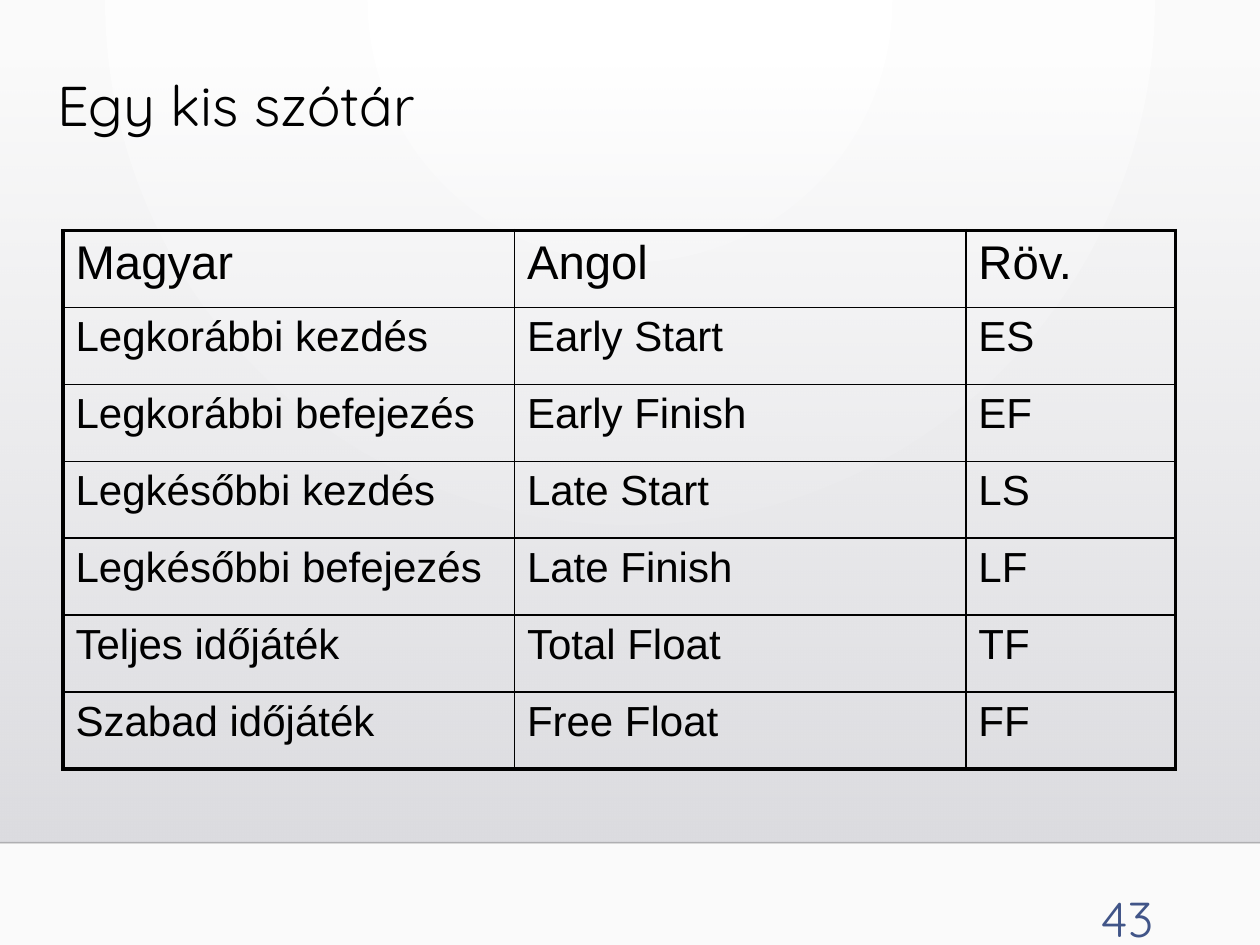
import pptx
import pptx.dml.color
import pptx.enum.shapes
import pptx.enum.text
import pptx.oxml
import pptx.oxml.ns
import pptx.util

Cm, Pt = pptx.util.Cm, pptx.util.Pt
qn = pptx.oxml.ns.qn
NS = pptx.oxml.ns.nsdecls("a")

COLORS = {
    "black": "000000", "rule": "000001", "number": "415588",
    "bg_center": "FFFFFF", "bg_edge": "FAFAFA",
    "panel_top": "DCDCE0", "panel_bottom": "DEDEE2",
}
ROWS = [
    ("Magyar", "Angol", "Röv."),
    ("Legkorábbi kezdés", "Early Start", "ES"),
    ("Legkorábbi befejezés", "Early Finish", "EF"),
    ("Legkésőbbi kezdés", "Late Start", "LS"),
    ("Legkésőbbi befejezés", "Late Finish", "LF"),
    ("Teljes időjáték", "Total Float", "TF"),
    ("Szabad időjáték", "Free Float", "FF"),
]


class Deck:
    heading_font, table_font = "Quicksand", "Arial"
    thin, thick = 1, 2.25

    def __init__(self, width, height):
        self.prs = pptx.Presentation()
        self.prs.slide_width, self.prs.slide_height = Cm(width), Cm(height)
        self.slide = self.prs.slides.add_slide(self.prs.slide_layouts[6])

    def rgb(self, name):
        return pptx.dml.color.RGBColor.from_string(COLORS[name])

    def gradient(self, fill, *names):
        fill.gradient()
        for stop, name in zip(fill.gradient_stops, names):
            stop.color.rgb = self.rgb(name)

    def alpha(self, color, percent):
        color.append(pptx.oxml.parse_xml(f'<a:alpha {NS} val="{percent * 1000}"/>'))

    def background(self):
        self.gradient(self.slide.background.fill, "bg_center", "bg_edge")
        grad = self.slide.element.find(".//" + qn("a:gradFill"))
        grad.replace(grad.find(qn("a:lin")), pptx.oxml.parse_xml(
            f'<a:path {NS} path="circle">'
            '<a:fillToRect l="43000" t="0" r="43000" b="100000"/></a:path>'))

    def panel(self, x, y, w, h):
        sp = self.slide.shapes.add_shape(
            pptx.enum.shapes.MSO_SHAPE.RECTANGLE, Cm(x), Cm(y), Cm(w), Cm(h))
        sp.shadow.inherit = False
        sp.line.fill.background()
        self.gradient(sp.fill, "panel_top", "panel_bottom")
        sp.fill.gradient_angle = 270
        # The top of the panel fades out
        self.alpha(sp.element.spPr.find(".//" + qn("a:srgbClr")), 0)

    def rule(self, x1, x2, y):
        line = self.slide.shapes.add_connector(
            pptx.enum.shapes.MSO_CONNECTOR.STRAIGHT, Cm(x1), Cm(y), Cm(x2), Cm(y))
        line.line.width = Pt(1)
        line.line.color.rgb = self.rgb("rule")
        spPr = line.element.spPr
        self.alpha(spPr.find(".//" + qn("a:srgbClr")), 20)
        spPr.append(pptx.oxml.parse_xml(f"<a:effectLst {NS}/>"))

    def style(self, p, size, font, color):
        p.font.size, p.font.name = Pt(size), font
        p.font.color.rgb = self.rgb(color)

    def text(self, text, x, y, w, h, size, color, align="LEFT", spacing=1.0):
        tf = self.slide.shapes.add_textbox(Cm(x), Cm(y), Cm(w), Cm(h)).text_frame
        tf.word_wrap = True
        p = tf.paragraphs[0]
        p.text = text
        p.alignment = pptx.enum.text.PP_ALIGN[align]
        p.line_spacing = spacing
        self.style(p, size, self.heading_font, color)

    def border(self, cell, side, width):
        cell._tc.get_or_add_tcPr().append(pptx.oxml.parse_xml(
            f'<a:ln{side} {NS} w="{Pt(width)}"><a:solidFill>'
            f'<a:srgbClr val="{COLORS["black"]}"/></a:solidFill></a:ln{side}>'))

    def table(self, rows, x, y, widths, row_height):
        table = self.slide.shapes.add_table(
            len(rows), len(widths), Cm(x), Cm(y),
            Cm(sum(widths)), Cm(row_height * len(rows))).table
        table.first_row = table.horz_banding = False
        for col, width in zip(table.columns, widths):
            col.width = Cm(width)
        for i, row in enumerate(rows):
            table.rows[i].height = Cm(row_height)
            for j, text in enumerate(row):
                cell = table.cell(i, j)
                cell.text = text
                self.style(cell.text_frame.paragraphs[0],
                           27 if i == 0 else 24, self.table_font, "black")
                # Thick frame outside, thin lines inside
                outer = {"L": j == 0, "R": j == len(widths) - 1,
                         "T": i == 0, "B": i == len(rows) - 1}
                for side, is_outer in outer.items():
                    self.border(cell, side, self.thick if is_outer else self.thin)
                cell.fill.background()


def main():
    deck = Deck(25.4, 19.05)

    # Backdrop
    deck.background()
    deck.panel(0, 1.3, 25.4, 15.69)
    deck.rule(0, 25.4, 16.99)

    # Slide number and title
    deck.text("43", 19.05, 17.78, 4.45, 1.27, 28, "number", align="RIGHT")
    deck.text("Egy kis szótár", 0.91, 1.45, 22.3, 2.34, 32, "black", spacing=0.9)

    # Glossary
    deck.table(ROWS, 1.27, 4.65, (9.1, 9.1, 4.23), 1.55)

    deck.prs.save("out.pptx")


if __name__ == "__main__":
    main()
